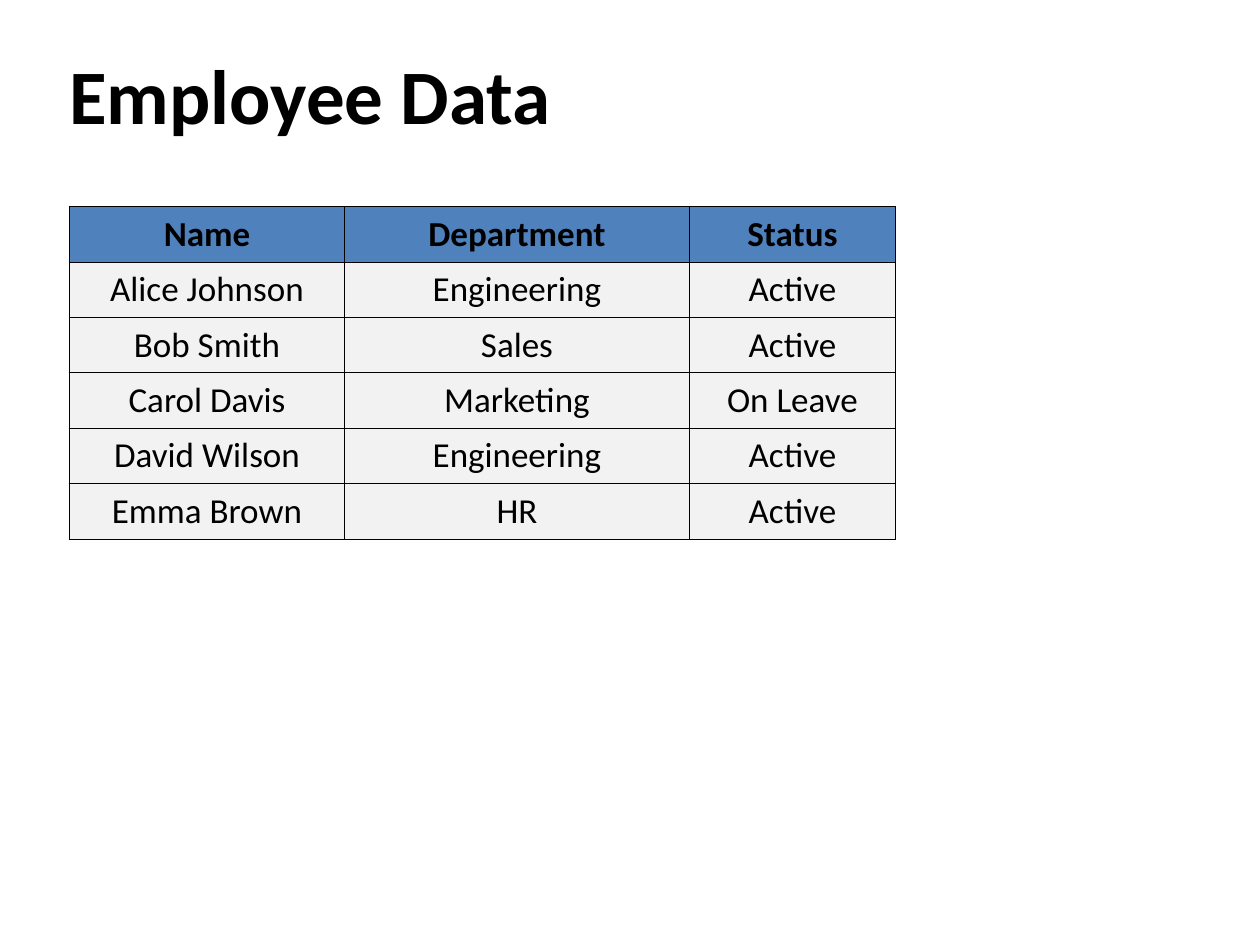
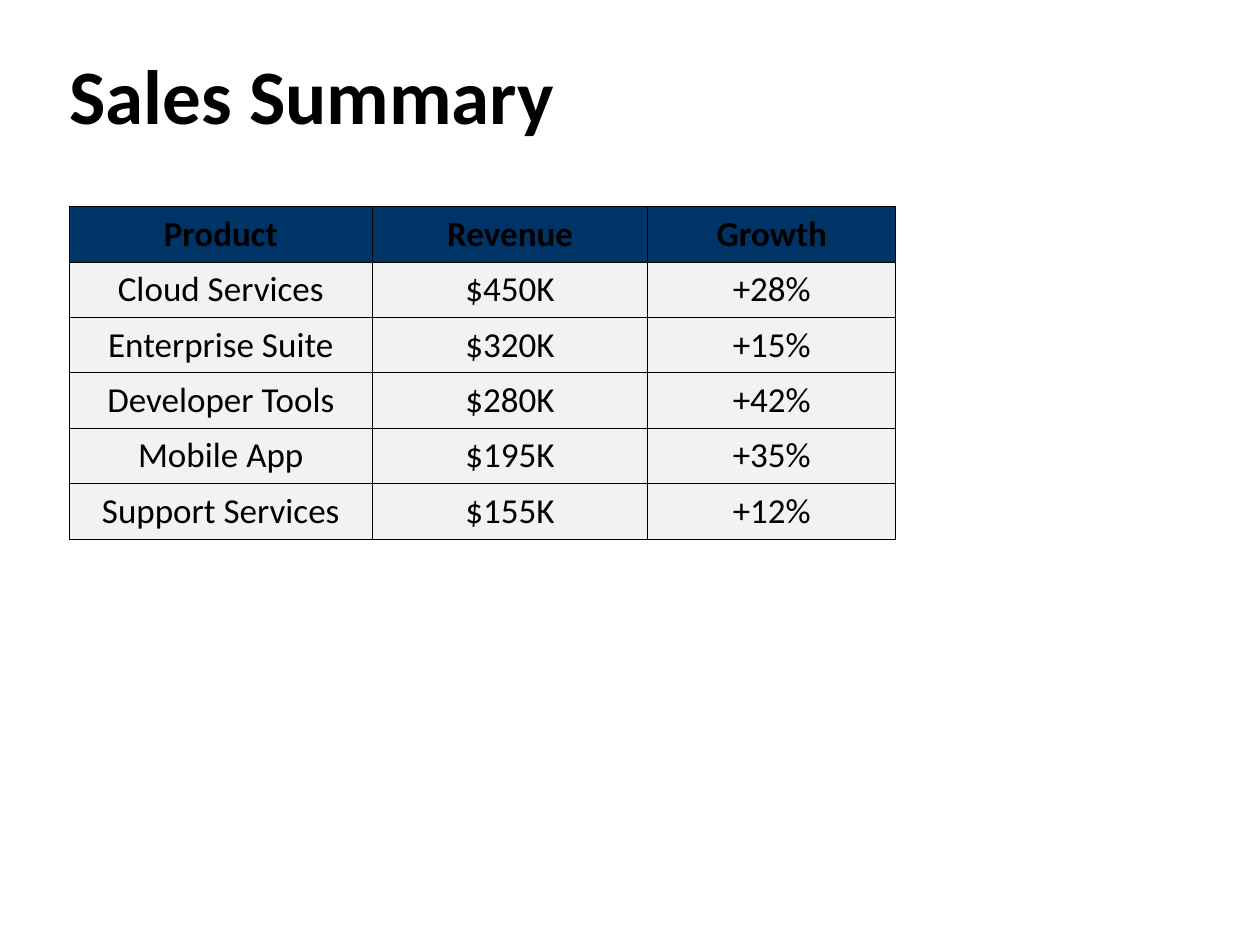
import dataclasses

import pptx
import pptx.dml.color
import pptx.enum.text
import pptx.oxml
import pptx.oxml.ns
import pptx.util

Inches = pptx.util.Inches
Pt = pptx.util.Pt

FONT = "Calibri"
COLOURS = {
    "text": "000000",
    "border": "000000",
    "body": "F2F2F2",
    "blue": "4F81BD",
    "navy": "003366",
}
TABLE_WIDTH = 6.56
ROW_HEIGHT = 0.44
BORDER = Pt(0.75)


@dataclasses.dataclass
class TableSlide:
    title: str
    header_fill: str
    column_shares: tuple[int, ...]
    rows: list[tuple[str, ...]]


TABLE_SLIDES = [
    TableSlide("Employee Data", "blue", (4, 5, 3), [
        ("Name", "Department", "Status"),
        ("Alice Johnson", "Engineering", "Active"),
        ("Bob Smith", "Sales", "Active"),
        ("Carol Davis", "Marketing", "On Leave"),
        ("David Wilson", "Engineering", "Active"),
        ("Emma Brown", "HR", "Active"),
    ]),
    TableSlide("Sales Summary", "navy", (11, 10, 9), [
        ("Product", "Revenue", "Growth"),
        ("Cloud Services", "$450K", "+28%"),
        ("Enterprise Suite", "$320K", "+15%"),
        ("Developer Tools", "$280K", "+42%"),
        ("Mobile App", "$195K", "+35%"),
        ("Support Services", "$155K", "+12%"),
    ]),
]


def rgb(name: str) -> pptx.dml.color.RGBColor:
    return pptx.dml.color.RGBColor.from_string(COLOURS[name])


def format_runs(paragraph, size: int, bold: bool) -> None:
    for run in paragraph.runs:
        run.font.name = FONT
        run.font.size = Pt(size)
        run.font.bold = bold
        run.font.color.rgb = rgb("text")


def add_title(slide, title: str) -> None:
    frame = slide.shapes.add_textbox(
        Inches(0.5), Inches(0.3), Inches(9), Inches(1.25)).text_frame
    frame.word_wrap = True
    frame.margin_left = Inches(0.05)
    frame.margin_top = Inches(0.08)
    frame.text = title
    format_runs(frame.paragraphs[0], 44, True)


def add_borders(cell) -> None:
    """Outline all four sides; the lines must precede the fill in the XML."""
    properties = cell._tc.get_or_add_tcPr()
    for position, side in enumerate(("lnL", "lnR", "lnT", "lnB")):
        line = pptx.oxml.parse_xml(
            f'<a:{side} {pptx.oxml.ns.nsdecls("a")} w="{BORDER}">'
            f'<a:solidFill><a:srgbClr val="{COLOURS["border"]}"/></a:solidFill>'
            f'</a:{side}>')
        properties.insert(position, line)


def fill_cell(cell, text: str, fill: str, bold: bool) -> None:
    cell.text_frame.text = text
    cell.vertical_anchor = pptx.enum.text.MSO_ANCHOR.MIDDLE
    paragraph = cell.text_frame.paragraphs[0]
    paragraph.alignment = pptx.enum.text.PP_ALIGN.CENTER
    format_runs(paragraph, 20, bold)
    cell.fill.solid()
    cell.fill.fore_color.rgb = rgb(fill)
    add_borders(cell)


def add_data_table(slide, content: TableSlide) -> None:
    row_count = len(content.rows)
    table = slide.shapes.add_table(
        row_count, len(content.column_shares), Inches(0.55), Inches(1.64),
        Inches(TABLE_WIDTH), Inches(ROW_HEIGHT * row_count)).table
    table.horz_banding = False
    total = sum(content.column_shares)
    for column, share in zip(table.columns, content.column_shares):
        column.width = Inches(TABLE_WIDTH * share / total)
    for row_index, row in enumerate(content.rows):
        is_header = row_index == 0
        table.rows[row_index].height = Inches(ROW_HEIGHT)
        for column_index, text in enumerate(row):
            fill_cell(table.cell(row_index, column_index), text,
                      content.header_fill if is_header else "body", is_header)


def main() -> None:
    presentation = pptx.Presentation()
    presentation.slide_width = Inches(10)
    presentation.slide_height = Inches(7.5)
    for content in TABLE_SLIDES:
        slide = presentation.slides.add_slide(presentation.slide_layouts[6])
        add_title(slide, content.title)
        add_data_table(slide, content)
    presentation.save("out.pptx")


if __name__ == "__main__":
    main()
